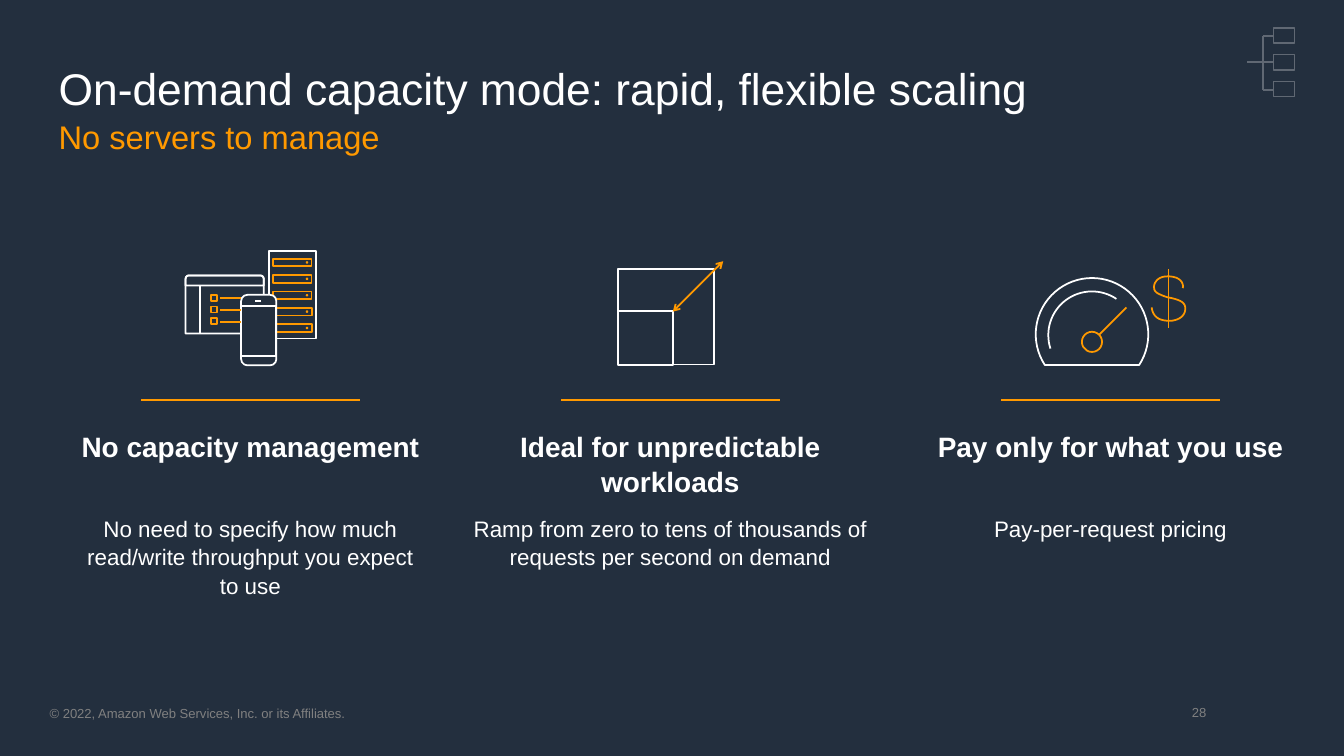
from dataclasses import dataclass
from math import cos, radians, sin
from typing import Any

from pptx import Presentation
from pptx.dml.color import RGBColor
from pptx.enum.shapes import MSO_CONNECTOR, MSO_SHAPE
from pptx.enum.text import MSO_ANCHOR, PP_ALIGN
from pptx.oxml.ns import qn
from pptx.util import Inches, Pt
from lxml import etree

NAVY = RGBColor(0x23, 0x2F, 0x3E)
WHITE = RGBColor(0xFF, 0xFF, 0xFF)
ORANGE = RGBColor(0xFF, 0x99, 0x00)
GRAY = RGBColor(0x80, 0x80, 0x80)
FONT = "Arial"
STROKE = Pt(1.5)
RECTANGLE = MSO_SHAPE.RECTANGLE
ROUNDED = MSO_SHAPE.ROUNDED_RECTANGLE
ROUND_TOP = MSO_SHAPE.ROUND_2_SAME_RECTANGLE
OVAL = MSO_SHAPE.OVAL
STRAIGHT = MSO_CONNECTOR.STRAIGHT
LEFT, CENTER, RIGHT = PP_ALIGN.LEFT, PP_ALIGN.CENTER, PP_ALIGN.RIGHT
TOP, MIDDLE = MSO_ANCHOR.TOP, MSO_ANCHOR.MIDDLE


@dataclass
class Box:
    page: Any
    left: float
    top: float

    def place(self, x, y):
        return Inches(self.left + x), Inches(self.top + y)

    def outline(self, shape, color):
        shape.shadow.inherit = False
        shape.fill.background()
        shape.line.color.rgb = color
        shape.line.width = STROKE
        return shape

    def shape(self, kind, x, y, width, height, color=WHITE):
        shape = self.page.shapes.add_shape(
            kind, *self.place(x, y), Inches(width), Inches(height))
        return self.outline(shape, color)

    def solid(self, kind, x, y, width, height, color):
        shape = self.shape(kind, x, y, width, height)
        shape.fill.solid()
        shape.fill.fore_color.rgb = color
        shape.line.fill.background()
        return shape

    def line(self, x1, y1, x2, y2, color=WHITE, arrows=False):
        line = self.page.shapes.add_connector(
            STRAIGHT, *self.place(x1, y1), *self.place(x2, y2))
        line.line.color.rgb = color
        line.line.width = STROKE
        properties = line._element.spPr
        etree.SubElement(properties, qn("a:effectLst"))
        if arrows:
            for end in ("a:headEnd", "a:tailEnd"):
                etree.SubElement(properties.find(qn("a:ln")), qn(end), type="arrow")

    def trace(self, points, color=WHITE, close=False):
        corners = [self.place(x, y) for x, y in points]
        builder = self.page.shapes.build_freeform(*corners[0], scale=1.0)
        builder.add_line_segments(corners[1:], close=close)
        self.outline(builder.convert_to_shape(), color)

    def text(self, x, y, width, height, lines, align=LEFT, anchor=TOP,
             margins=(0.1, 0.05), spacing=1.05):
        box = self.page.shapes.add_textbox(
            *self.place(x, y), Inches(width), Inches(height))
        frame = box.text_frame
        frame.word_wrap = True
        frame.vertical_anchor = anchor
        frame.margin_left = frame.margin_right = Inches(margins[0])
        frame.margin_top = frame.margin_bottom = Inches(margins[1])
        frame.text = "\n".join(line[0] for line in lines)
        for para, (_, size, color, bold) in zip(frame.paragraphs, lines):
            para.alignment = align
            para.line_spacing = spacing
            for span in para.runs:
                span.font.name = FONT
                span.font.size = Pt(size)
                span.font.color.rgb = color
                span.font.bold = bold


def arc(x, y, radius, start, end, steps=24):
    angles = [radians(start + (end - start) * i / steps) for i in range(steps + 1)]
    return [(x + radius * cos(a), y + radius * sin(a)) for a in angles]


def bezier_chain(points, steps=10):
    result = [points[0]]
    for i in range(0, len(points) - 1, 3):
        for step in range(1, steps + 1):
            t = step / steps
            weights = ((1 - t) ** 3, 3 * t * (1 - t) ** 2, 3 * t * t * (1 - t), t ** 3)
            result.append(tuple(
                sum(w * p[axis] for w, p in zip(weights, points[i:i + 4]))
                for axis in (0, 1)))
    return result


def draw_server(box):
    box.trace([(0.09, 1.04), (0.56, 1.04), (0.56, 0), (0, 0), (0, 0.52)])
    for row in range(5):
        y = 0.09 + 0.195 * row
        if row < 2:
            box.shape(RECTANGLE, 0.05, y, 0.46, 0.09, ORANGE)
        elif row == 2:
            box.trace([(0.09, y + 0.09), (0.51, y + 0.09), (0.51, y),
                       (0.05, y), (0.05, y + 0.05)], ORANGE)
        else:
            box.trace([(0.09, y), (0.51, y), (0.51, y + 0.09), (0.09, y + 0.09)], ORANGE)
        box.solid(OVAL, 0.44, y + 0.03, 0.03, 0.03, ORANGE)


def draw_phone(box):
    body = box.shape(ROUNDED, 0, 0, 0.42, 0.84)
    body.adjustments[0] = 0.18
    box.shape(RECTANGLE, 0, 0.13, 0.42, 0.6)
    box.line(0.24, 0.07, 0.17, 0.07)


def draw_window(box):
    box.trace([(0.66, 0.69), (0, 0.69)] + arc(0.04, 0.04, 0.04, 180, 270, 6)
              + arc(0.89, 0.04, 0.04, 270, 360, 6) + [(0.93, 0.23)])
    bar = box.shape(ROUND_TOP, 0, 0, 0.93, 0.12)
    bar.adjustments[0] = 0.3
    box.line(0.17, 0.69, 0.17, 0.12)
    for row in range(3):
        y = 0.23 + 0.14 * row
        box.shape(RECTANGLE, 0.3, y, 0.07, 0.07, ORANGE)
        box.line(0.41, y + 0.04, 0.66, y + 0.04, ORANGE)


def draw_devices(box):
    draw_server(Box(box.page, box.left + 0.99, box.top))
    draw_phone(Box(box.page, box.left + 0.66, box.top + 0.52))
    draw_window(Box(box.page, box.left, box.top + 0.29))


def draw_scaling(box):
    box.shape(RECTANGLE, 0, 0.09, 1.14, 1.14)
    box.shape(RECTANGLE, 0, 0.59, 0.65, 0.65)
    box.line(0.65, 0.6, 1.25, 0, ORANGE, arrows=True)


def draw_pricing(box):
    box.trace(arc(0.67, 0.78, 0.67, 147, 393, 48), close=True)
    box.trace(arc(0.67, 0.79, 0.52, 162, 304, 32))
    box.shape(OVAL, 0.55, 0.75, 0.24, 0.24, ORANGE)
    box.line(0.75, 0.79, 1.08, 0.46, ORANGE)
    dollar = [(1.75, 0.23), (1.76, 0.21), (1.76, 0.1), (1.59, 0.09),
              (1.42, 0.08), (1.4, 0.21), (1.41, 0.23), (1.41, 0.24),
              (1.41, 0.28), (1.49, 0.31), (1.51, 0.32), (1.54, 0.33),
              (1.57, 0.34), (1.74, 0.37), (1.79, 0.41), (1.78, 0.49),
              (1.77, 0.57), (1.7, 0.61), (1.61, 0.62), (1.52, 0.62),
              (1.4, 0.61), (1.38, 0.46)]
    box.trace(bezier_chain(dollar), ORANGE)
    box.line(1.58, 0, 1.58, 0.7, ORANGE)


def draw_column(box, width, body_width, heading, body):
    box.line(-1.3, 0, 1.3, 0, ORANGE)
    box.text(-width / 2, 0.28, width, 0.91, [(heading, 24, WHITE, True)], CENTER)
    box.text(-body_width / 2, 1.31, body_width, 1.15, [(body, 19.2, WHITE, False)], CENTER)


def draw_tree(box):
    box.line(0.83, 0.15, 0.83, 0.79)
    box.line(0.95, 0.46, 0.64, 0.46)
    for row in range(3):
        y = 0.05 + 0.32 * row
        box.shape(RECTANGLE, 0.95, y, 0.25, 0.18)
        if row != 1:
            box.line(0.95, y + 0.1, 0.83, y + 0.1)
    veil = box.solid(RECTANGLE, 0, 0, 1.32, 0.96, NAVY)
    color = veil._element.spPr.find(qn("a:solidFill"))[0]
    etree.SubElement(color, qn("a:alpha"), val="72000")


def draw_header(box):
    box.text(0, 0, 14.68, 1.39, [
        ("On-demand capacity mode: rapid, flexible scaling", 38, WHITE, False),
        ("No servers to manage", 28, ORANGE, False)], margins=(0.1, 0.08))


def draw_footer(box):
    notice = "© 2022, Amazon Web Services, Inc. or its Affiliates."
    box.text(0, 0, 7.78, 0.19, [(notice, 11.2, GRAY, False)], margins=(0, 0), spacing=1)
    box.text(10.71, -0.16, 3.16, 0.48, [("28", 11.2, GRAY, False)], RIGHT, MIDDLE, spacing=1)


def main():
    deck = Presentation()
    deck.slide_width, deck.slide_height = Inches(16), Inches(9)
    page = deck.slides.add_slide(deck.slide_layouts[6])
    page.background.fill.solid()
    page.background.fill.fore_color.rgb = NAVY
    draw_header(Box(page, 0.6, 0.62))
    draw_devices(Box(page, 2.21, 2.99))
    draw_scaling(Box(page, 7.36, 3.11))
    draw_pricing(Box(page, 12.33, 3.2))
    for center, width, body_width, heading, body in (
            (2.98, 4.22, 4.22, "No capacity management",
             "No need to specify how much read/write throughput you expect to use"),
            (7.98, 5.39, 5.39, "Ideal for unpredictable workloads",
             "Ramp from zero to tens of thousands of requests per second on demand"),
            (13.22, 4.77, 5.06, "Pay only for what you use", "Pay-per-request pricing")):
        draw_column(Box(page, center, 4.76), width, body_width, heading, body)
    draw_tree(Box(page, 14.21, 0.28))
    draw_footer(Box(page, 0.59, 8.4))
    deck.save("out.pptx")


if __name__ == "__main__":
    main()
